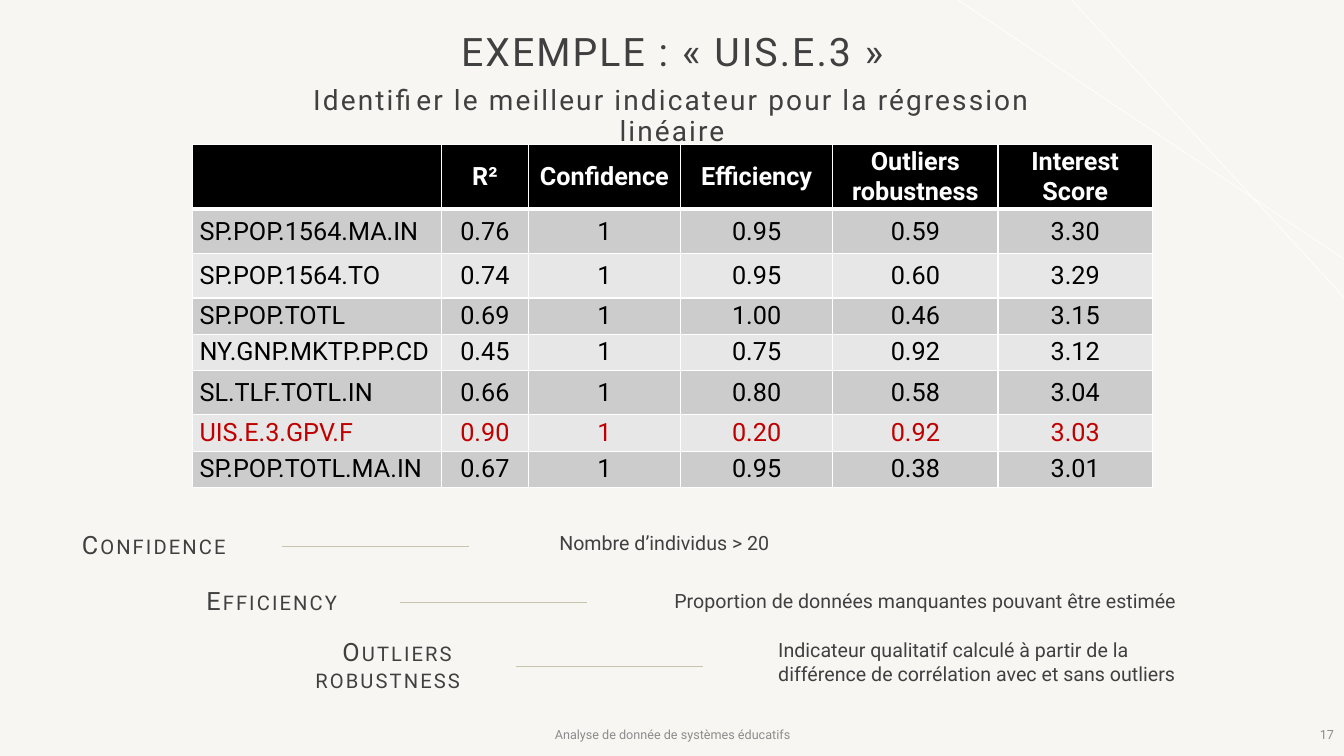
from lxml.etree import SubElement
from pptx import Presentation
from pptx.dml.color import RGBColor
from pptx.enum.shapes import MSO_CONNECTOR, MSO_SHAPE
from pptx.enum.text import MSO_ANCHOR as Anchor, MSO_AUTO_SIZE, PP_ALIGN as Align
from pptx.oxml.ns import qn
from pptx.util import Inches, Pt

FONT = "Roboto"
PAPER = RGBColor(0xF7, 0xF6, 0xF3)
WHITE = RGBColor(0xFF, 0xFF, 0xFF)
BLACK = RGBColor(0, 0, 0)
INK = RGBColor(0x40, 0x40, 0x40)
MUTED = RGBColor(0x8C, 0x8C, 0x8C)
SAND = RGBColor(0xC9, 0xC2, 0xAE)
RED = RGBColor(0xC0, 0, 0)
BANDS = (RGBColor(0xCC, 0xCC, 0xCC), RGBColor(0xE7, 0xE7, 0xE7))

COLUMN_WIDTHS = (2.47, 0.86, 1.51, 1.51, 1.64, 1.53)
ROW_HEIGHTS = (0.64, 0.44, 0.44, 0.36, 0.36, 0.44, 0.36, 0.36)
HIGHLIGHTED = "UIS.E.3.GPV.F"
SCORES = (
    ("", "R²", "Confidence", "Efficiency", "Outliers robustness", "Interest Score"),
    ("SP.POP.1564.MA.IN", "0.76", "1", "0.95", "0.59", "3.30"),
    ("SP.POP.1564.TO", "0.74", "1", "0.95", "0.60", "3.29"),
    ("SP.POP.TOTL", "0.69", "1", "1.00", "0.46", "3.15"),
    ("NY.GNP.MKTP.PP.CD", "0.45", "1", "0.75", "0.92", "3.12"),
    ("SL.TLF.TOTL.IN", "0.66", "1", "0.80", "0.58", "3.04"),
    (HIGHLIGHTED, "0.90", "1", "0.20", "0.92", "3.03"),
    ("SP.POP.TOTL.MA.IN", "0.67", "1", "0.95", "0.38", "3.01"),
)
DEFINITIONS = (
    ("Confidence", (0.46, 5.14, 2.34, 0.56),
     "Nombre d’individus > 20", (5.42, 5.22, 2.34, 0.4), Align.CENTER),
    ("Efficiency", (1.63, 5.7, 2.34, 0.56),
     "Proportion de données manquantes pouvant être estimée",
     (6.59, 5.79, 5.23, 0.4), Align.LEFT),
    ("Outliers robustness", (2.78, 6.28, 2.34, 0.67),
     "Indicateur qualitatif calculé à partir de la différence de corrélation "
     "avec et sans outliers", (7.62, 6.28, 4.39, 0.67), Align.LEFT),
)


def write_text(frame, text, size=14, color=INK, bold=False, align=Align.LEFT,
               anchor=Anchor.TOP, line_spacing=1.0, before=0, tracking=0, small_caps=False):
    """Fill a text frame with one formatted paragraph."""
    frame.word_wrap = True
    frame.vertical_anchor = anchor
    paragraph = frame.paragraphs[0]
    paragraph.alignment = align
    paragraph.line_spacing = line_spacing
    paragraph.space_before = Pt(before)
    run = paragraph.add_run()
    run.text = text
    run.font.name = FONT
    run.font.size = Pt(size)
    run.font.bold = bold
    run.font.color.rgb = color
    properties = run._r.get_or_add_rPr()
    if tracking:
        properties.set("spc", str(int(tracking * 100)))
    if small_caps:
        properties.set("cap", "small")


def add_text(slide, box, text, **text_format):
    """Add a text box with formatted text."""
    shape = slide.shapes.add_textbox(*map(Inches, box))
    write_text(shape.text_frame, text, **text_format)
    return shape


def add_line(slide, start, end, color, width):
    """Add a straight line without a shadow."""
    line = slide.shapes.add_connector(MSO_CONNECTOR.STRAIGHT, *map(Inches, start + end))
    line.line.color.rgb = color
    line.line.width = Pt(width)
    SubElement(line._element.spPr, qn("a:effectLst"))
    return line


def fill_placeholder(placeholder, box, text, **text_format):
    """Move a placeholder to its box and write its text."""
    placeholder.left, placeholder.top, placeholder.width, placeholder.height = map(Inches, box)
    write_text(placeholder.text_frame, text, align=Align.CENTER, line_spacing=0.9,
               tracking=1.5, **text_format)
    placeholder.text_frame.auto_size = MSO_AUTO_SIZE.NONE


def add_heading(slide, title_box, subtitle_box):
    """Write the title and the subtitle."""
    fill_placeholder(slide.shapes.title, title_box, "EXEMPLE : « UIS.E.3 »",
                     size=28, anchor=Anchor.MIDDLE)
    fill_placeholder(slide.placeholders[1], subtitle_box,
                     "Identifier le meilleur indicateur pour la régression linéaire",
                     size=20, before=10)


def set_borders(cell, bottom_width):
    """Draw white borders around a table cell."""
    properties = cell._tc.get_or_add_tcPr()
    for side, width in (("L", 1), ("R", 1), ("T", 1), ("B", bottom_width)):
        border = SubElement(properties, qn(f"a:ln{side}"), w=str(Pt(width)))
        fill = SubElement(border, qn("a:solidFill"))
        SubElement(fill, qn("a:srgbClr"), val=str(WHITE))


def add_score_table(slide, box):
    """Add the indicator table with banded rows and one highlighted row."""
    table = slide.shapes.add_table(len(SCORES), len(COLUMN_WIDTHS), *map(Inches, box)).table
    for column, width in zip(table.columns, COLUMN_WIDTHS):
        column.width = Inches(width)
    for row_index, values in enumerate(SCORES):
        table.rows[row_index].height = Inches(ROW_HEIGHTS[row_index])
        header = row_index == 0
        color = WHITE if header else RED if values[0] == HIGHLIGHTED else BLACK
        for column_index, value in enumerate(values):
            cell = table.cell(row_index, column_index)
            cell.margin_left = cell.margin_right = Inches(0.07)
            cell.margin_top = cell.margin_bottom = Inches(0.03)
            cell.vertical_anchor = Anchor.MIDDLE
            set_borders(cell, 3 if header else 1)
            cell.fill.solid()
            cell.fill.fore_color.rgb = BLACK if header else BANDS[(row_index - 1) % 2]
            if value:
                write_text(cell.text_frame, value, size=18, color=color, bold=header,
                           align=Align.CENTER if column_index else Align.LEFT,
                           anchor=Anchor.MIDDLE)


def add_definition(slide, term, term_box, meaning, meaning_box, align):
    """Add a term, the line leading from it and its meaning."""
    left, top, width, height = term_box
    label = add_text(slide, term_box, term, size=18, align=Align.CENTER, anchor=Anchor.MIDDLE,
                     line_spacing=0.9, before=10, tracking=1.5, small_caps=True)
    start_x, middle = left + width, top + height / 2
    line = add_line(slide, (start_x, middle), (start_x + 1.85, middle), SAND, 0.75)
    line.begin_connect(label, 3)
    add_text(slide, meaning_box, meaning, align=align, before=10)


def add_footer(slide, footer_box, number_box):
    """Add the footer band and the slide number."""
    band = slide.shapes.add_shape(MSO_SHAPE.RECTANGLE, *map(Inches, footer_box))
    band.shadow.inherit = False
    band.fill.solid()
    band.fill.fore_color.rgb = PAPER
    band.line.fill.background()
    write_text(band.text_frame, "Analyse de donnée de systèmes éducatifs", size=9,
               color=MUTED, align=Align.CENTER, anchor=Anchor.MIDDLE)
    add_text(slide, number_box, "17", size=9, color=MUTED, align=Align.RIGHT,
             anchor=Anchor.MIDDLE)


def main():
    """Build the slide and save it."""
    presentation = Presentation()
    presentation.slide_width, presentation.slide_height = Inches(13.33), Inches(7.5)
    slide = presentation.slides.add_slide(presentation.slide_layouts.get_by_name("Section Header"))
    slide.background.fill.solid()
    slide.background.fill.fore_color.rgb = PAPER
    add_line(slide, (9.5, 0), (13.33, 2.57), WHITE, 0.5)
    add_line(slide, (10.63, 0), (13.33, 2.95), WHITE, 0.5)
    add_heading(slide, (3.06, 0.21, 7.22, 0.64), (2.5, 0.81, 8.33, 0.72))
    add_score_table(slide, (1.91, 1.43, sum(COLUMN_WIDTHS), sum(ROW_HEIGHTS)))
    for definition in DEFINITIONS:
        add_definition(slide, *definition)
    add_footer(slide, (4.42, 7.09, 4.5, 0.4), (10.33, 7.09, 3, 0.4))
    presentation.save("out.pptx")


if __name__ == "__main__":
    main()
